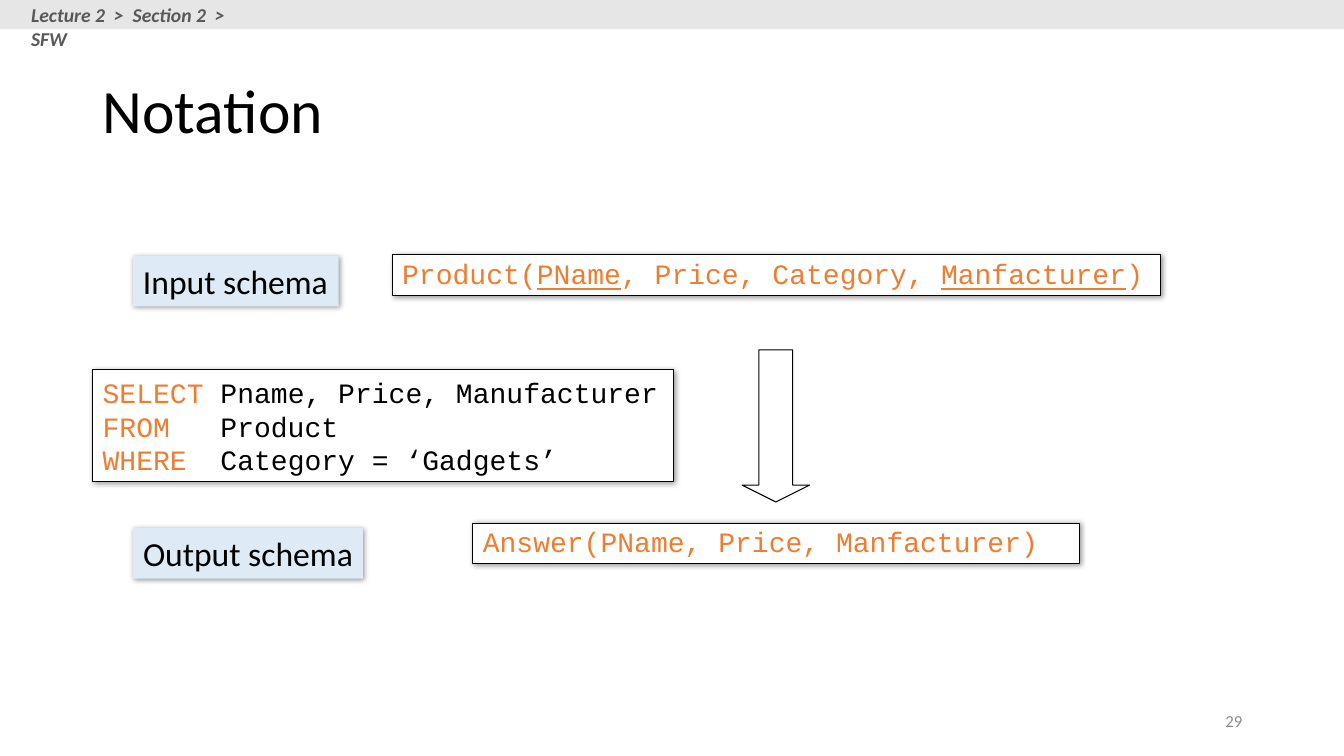
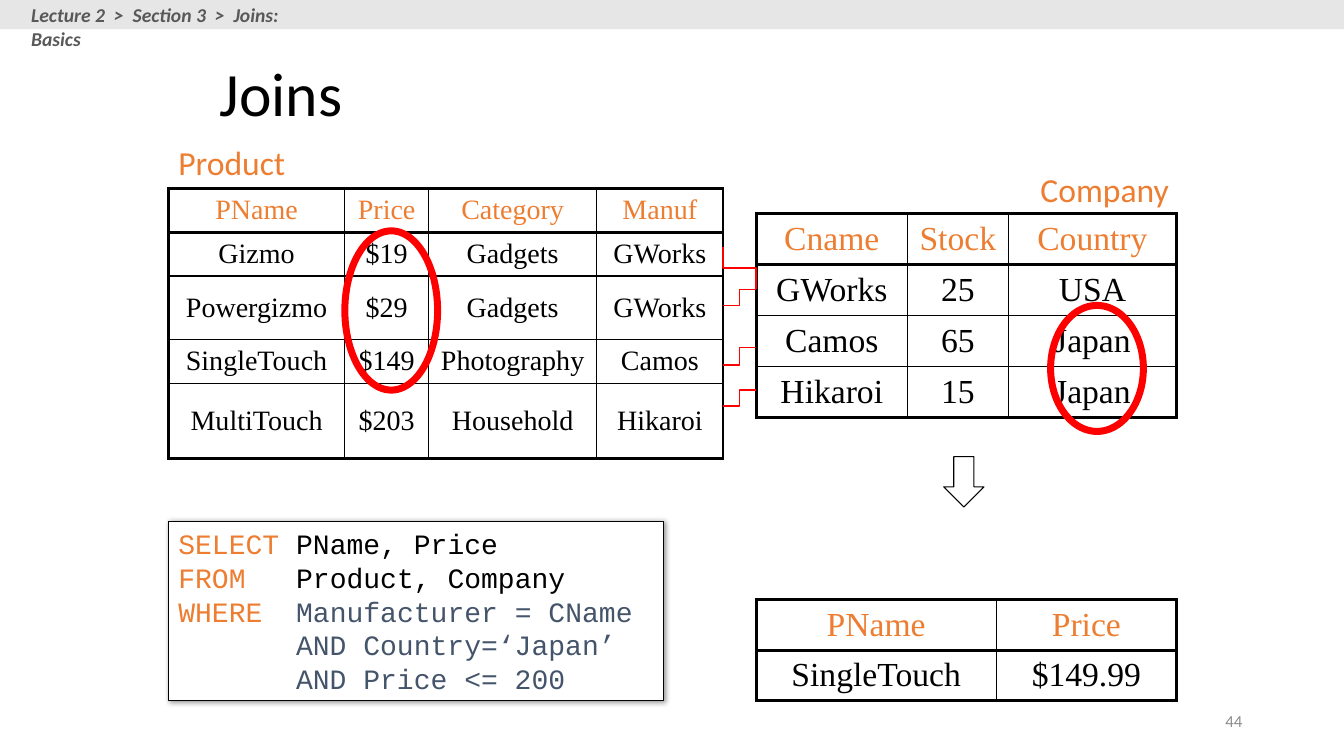
from dataclasses import dataclass

from lxml import etree
from pptx import Presentation
from pptx.dml.color import RGBColor
from pptx.enum.shapes import MSO_CONNECTOR, MSO_SHAPE
from pptx.enum.text import MSO_ANCHOR, PP_ALIGN
from pptx.oxml.ns import qn
from pptx.util import Emu, Inches, Pt

RECT, ELLIPSE, DOWN_ARROW = MSO_SHAPE.RECTANGLE, MSO_SHAPE.OVAL, MSO_SHAPE.DOWN_ARROW
ELBOW = MSO_CONNECTOR.ELBOW
TOP, MIDDLE = MSO_ANCHOR.TOP, MSO_ANCHOR.MIDDLE
LEFT, CENTER, RIGHT = PP_ALIGN.LEFT, PP_ALIGN.CENTER, PP_ALIGN.RIGHT


@dataclass(frozen=True)
class Theme:
    black: str = "000000"
    white: str = "FFFFFF"
    accent: str = "ED7D31"
    slate: str = "44546A"
    band: str = "E7E6E6"
    crumb: str = "595959"
    number: str = "8C8C8C"
    label: str = "DEEBF7"
    mark: str = "FF0000"
    sans: str = "Calibri"
    mono: str = "Courier New"
    serif: str = "Times New Roman"
    title_size: int = 44
    label_size: int = 24
    code_size: int = 20
    crumb_size: int = 14
    number_size: int = 12
    thin: float = 0.75
    inner: float = 1
    outer: float = 2.25
    ring: float = 5


T = Theme()


def rgb(value):
    return RGBColor.from_string(value)


def inches(box):
    return [Inches(v) for v in box]


def style(p, font, size, color, align=LEFT, spacing=None):
    p.alignment = align
    if spacing:
        p.line_spacing = spacing
    p.font.name = font
    p.font.size = Pt(size)
    p.font.color.rgb = rgb(color)


def write(sp, lines, font, size, color, align=LEFT, anchor=TOP, wrap=True, spacing=None):
    tf = sp.text_frame
    tf.word_wrap = wrap
    tf.vertical_anchor = anchor
    for i, line in enumerate(lines):
        p = tf.add_paragraph() if i else tf.paragraphs[0]
        style(p, font, size, color, align, spacing)
        for text, run_color, underline in line:
            r = p.add_run()
            r.text = text
            if run_color:
                r.font.color.rgb = rgb(run_color)
            if underline:
                r.font.underline = True
    return tf


def plain(text):
    return [[(text, None, False)]]


def add_text(s, box, text, size, color, **options):
    sp = s.shapes.add_textbox(*inches(box))
    return write(sp, plain(text), T.sans, size, color, **options)


def add_box(s, kind, box, fill=None, line=None, width=T.thin, shadow=False):
    sp = s.shapes.add_shape(kind, *inches(box))
    sp.shadow.inherit = False
    if fill:
        sp.fill.solid()
        sp.fill.fore_color.rgb = rgb(fill)
    else:
        sp.fill.background()
    if line:
        sp.line.color.rgb = rgb(line)
        sp.line.width = Pt(width)
    else:
        sp.line.fill.background()
    if shadow:
        effects = sp._element.spPr.find(qn("a:effectLst"))
        outer = etree.SubElement(effects, qn("a:outerShdw"), blurRad=str(Pt(4)),
                                 dist=str(Pt(1)), dir="2700000", algn="tl", rotWithShape="0")
        color = etree.SubElement(outer, qn("a:srgbClr"), val=T.black)
        etree.SubElement(color, qn("a:alpha"), val="40000")
    return sp


def code_box(s, box, lines, color=T.black, spacing=None):
    sp = add_box(s, RECT, box, T.white, T.black, shadow=True)
    write(sp, lines, T.mono, T.code_size, color, anchor=MIDDLE, spacing=spacing)


def query_box(s, box, clauses):
    code_box(s, box, [[(word, T.accent, False), (rest, color, False)] if word
                      else [(rest, color, False)] for word, rest, color in clauses])


def schema_label(s, box, text):
    sp = add_box(s, RECT, box, T.label, shadow=True)
    write(sp, plain(text), T.sans, T.label_size, T.black, anchor=MIDDLE, wrap=False)


def down_arrow(s, box, head):
    sp = add_box(s, DOWN_ARROW, box, line=T.black)
    sp.adjustments[0] = 0.5
    sp.adjustments[1] = head


def cell_border(cell, side, width):
    ln = etree.SubElement(cell._tc.get_or_add_tcPr(), qn("a:ln" + side), w=str(Pt(width)))
    fill = etree.SubElement(ln, qn("a:solidFill"))
    etree.SubElement(fill, qn("a:srgbClr"), val=T.black)


def data_table(s, left, top, widths, heights, rows, size):
    box = inches((left, top, sum(widths), sum(heights)))
    table = s.shapes.add_table(len(rows), len(widths), *box).table
    table.first_row = table.horz_banding = False
    for col, width in zip(table.columns, widths):
        col.width = Inches(width)
    last_row, last_col = len(rows) - 1, len(widths) - 1
    for i, values in enumerate(rows):
        table.rows[i].height = Inches(heights[i])
        for j, value in enumerate(values):
            cell = table.cell(i, j)
            heavy = {"L": j == 0, "R": j == last_col, "T": i <= 1, "B": i in (0, last_row)}
            for side, is_heavy in heavy.items():
                cell_border(cell, side, T.outer if is_heavy else T.inner)
            cell.fill.solid()
            cell.fill.fore_color.rgb = rgb(T.white)
            cell.vertical_anchor = MIDDLE
            p = cell.text_frame.paragraphs[0]
            p.add_run().text = value
            style(p, T.serif, size, T.black if i else T.accent, CENTER)


def join_line(s, start, end, upright=False):
    x1, y1, x2, y2 = inches(start + end)
    if upright:
        cx, cy = (x1 + x2) // 2, (y1 + y2) // 2
        half_w, half_h = abs(y2 - y1) // 2, abs(x2 - x1) // 2
        x1, y1, x2, y2 = [Emu(v) for v in (cx - half_w, cy - half_h, cx + half_w, cy + half_h)]
    c = s.shapes.add_connector(ELBOW, x1, y1, x2, y2)
    c.line.color.rgb = rgb(T.mark)
    c.line.width = Pt(T.inner)
    spPr = c._element.spPr
    etree.SubElement(spPr, qn("a:effectLst"))
    if upright:
        xfrm = spPr.find(qn("a:xfrm"))
        xfrm.set("rot", "16200000")
        xfrm.set("flipH", "1")


def base_slide(prs, title, title_box, crumb, crumb_width, number):
    s = prs.slides.add_slide(prs.slide_layouts[6])
    add_box(s, RECT, (0, 0, 13.33, 0.29), T.band)
    tf = add_text(s, (0.21, -0.02, crumb_width, 0.34), crumb, T.crumb_size, T.crumb)
    tf.paragraphs[0].font.bold = True
    tf.paragraphs[0].font.italic = True
    add_text(s, title_box, title, T.title_size, T.black, anchor=MIDDLE, spacing=0.9)
    add_text(s, (9.42, 6.95, 3, 0.4), str(number), T.number_size, T.number,
             align=RIGHT, anchor=MIDDLE)
    return s


def notation_slide(prs):
    s = base_slide(prs, "Notation", (0.92, 0.4, 11.5, 1.45),
                   "Lecture 2  >  Section 2  >  SFW", 2.54, 29)
    down_arrow(s, (7.36, 3.47, 0.67, 1.51), 0.25)
    query_box(s, (0.92, 3.67, 5.76, 1.11), [
        ("SELECT", " Pname, Price, Manufacturer", None),
        ("FROM", "   Product", None),
        ("WHERE", "  Category = ‘Gadgets’", None),
    ])
    product = [("Product(", None, False), ("PName", None, True),
               (", Price, Category, ", None, False), ("Manfacturer", None, True),
               (")", None, False)]
    code_box(s, (3.89, 2.53, 7.62, 0.4), [product], T.accent, 0.9)
    code_box(s, (4.69, 5.19, 6.02, 0.4), plain("Answer(PName, Price, Manfacturer)"),
             T.accent, 0.9)
    schema_label(s, (1.32, 2.54, 2.04, 0.5), "Input schema")
    schema_label(s, (1.32, 5.24, 2.28, 0.5), "Output schema")


def joins_slide(prs):
    s = base_slide(prs, "Joins", (2.08, 0.33, 9, 1.25),
                   "Lecture 2  >  Section 3  >  Joins: Basics", 3.14, 44)
    data_table(s, 1.67, 1.87, (1.75, 0.83, 1.67, 1.25), (0.42, 0.41, 0.63, 0.42, 0.75), [
        ("PName", "Price", "Category", "Manuf"),
        ("Gizmo", "$19", "Gadgets", "GWorks"),
        ("Powergizmo", "$29", "Gadgets", "GWorks"),
        ("SingleTouch", "$149", "Photography", "Camos"),
        ("MultiTouch", "$203", "Household", "Hikaroi"),
    ], T.code_size)
    data_table(s, 7.5, 2.12, (1.5, 1, 1.67), [2.02 / 4] * 4, [
        ("Cname", "Stock", "Country"),
        ("GWorks", "25", "USA"),
        ("Camos", "65", "Japan"),
        ("Hikaroi", "15", "Japan"),
    ], T.label_size)
    data_table(s, 7.5, 5.95, (2.38, 1.79), [0.5] * 2, [
        ("PName", "Price"),
        ("SingleTouch", "$149.99"),
    ], T.label_size)
    for box, name in (((1.67, 1.36, 1.27, 0.5), "Product"),
                      ((10.22, 1.63, 1.49, 0.5), "Company")):
        add_text(s, box, name, T.label_size, T.accent, wrap=False)
    down_arrow(s, (9.36, 4.53, 0.4, 0.5), 0.5)
    join_line(s, (7.17, 2.45), (7.5, 2.87), upright=True)
    for y1, y2 in ((3.03, 2.87), (3.62, 3.45), (4.03, 3.87)):
        join_line(s, (7.17, y1), (7.5, y2))
    for box in ((3.42, 2.29, 0.92, 1.58), (10.42, 3.03, 0.92, 1.25)):
        add_box(s, ELLIPSE, box, line=T.mark, width=T.ring)
    query_box(s, (1.67, 5.17, 4.91, 1.78), [
        ("SELECT", " PName, Price", None),
        ("FROM", "   Product, Company", None),
        ("WHERE", "  Manufacturer = CName", T.slate),
        ("", "       AND Country=‘Japan’", T.slate),
        ("", "       AND Price <= 200", T.slate),
    ])


def main():
    prs = Presentation()
    prs.slide_width, prs.slide_height = Inches(13.33), Inches(7.5)
    notation_slide(prs)
    joins_slide(prs)
    prs.save("out.pptx")


if __name__ == "__main__":
    main()
